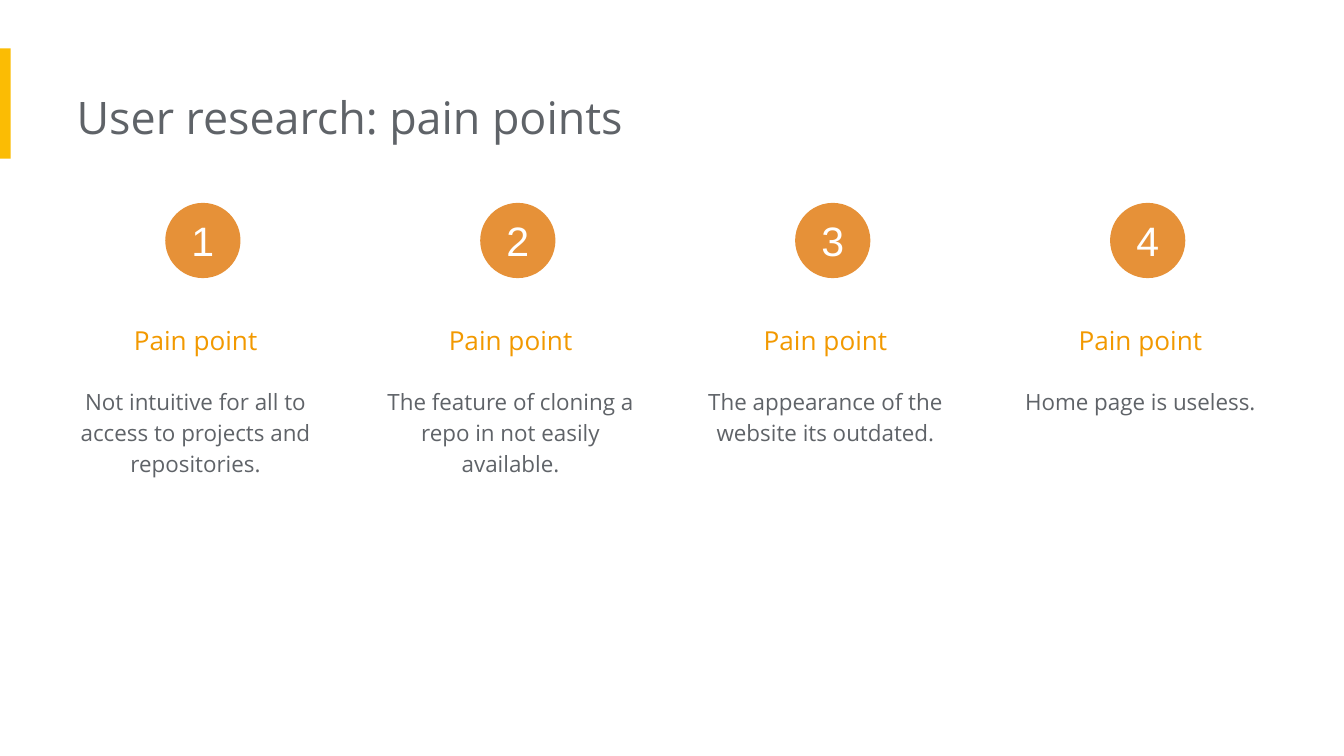
from pptx import Presentation
from pptx.dml.color import RGBColor
from pptx.enum.shapes import MSO_SHAPE
from pptx.enum.text import MSO_ANCHOR, MSO_AUTO_SIZE, PP_ALIGN
from pptx.util import Inches, Pt

COLORS = {"accent": "FBBC04", "circle": "E69138", "heading": "F29900",
          "text": "5F6368", "number": "FFFFFF"}
FONT = "Open Sans"

# 16:9 slide and column grid, in inches
SLIDE_W = 10
SLIDE_H = SLIDE_W * 9 / 16
LEFT, LAST_LEFT, COL_W = 0.48, 7.51, 2.05
CIRCLE_INSET, CIRCLE_D = 0.75, 0.56

# Description and height of its box
pain_points = [
    ("Not intuitive for all to access to projects and repositories.", 0.9),
    ("The feature of cloning a repo in not easily available.", 0.9),
    ("The appearance of the website its outdated.", 0.67),
    ("Home page is useless.", 0.43),
]
PITCH = (LAST_LEFT - LEFT) / (len(pain_points) - 1)


def write(sp, text, size, color, font=FONT, align=PP_ALIGN.CENTER,
          spacing=1.0, anchor=MSO_ANCHOR.TOP, insets=(0, 0.1, 0.1, 0.1),
          fit=MSO_AUTO_SIZE.SHAPE_TO_FIT_TEXT):
    tf = sp.text_frame
    tf.word_wrap = True
    tf.auto_size = fit
    tf.vertical_anchor = anchor
    (tf.margin_left, tf.margin_top,
     tf.margin_right, tf.margin_bottom) = map(Inches, insets)
    p = tf.paragraphs[0]
    p.alignment = align
    p.line_spacing = spacing
    r = p.add_run()
    r.text = text
    r.font.size = Pt(size)
    r.font.name = font
    r.font.color.rgb = RGBColor.from_string(COLORS[color])


def add_filled(shapes, kind, box, color):
    sp = shapes.add_shape(kind, *map(Inches, box))
    sp.shadow.inherit = False
    sp.fill.solid()
    sp.fill.fore_color.rgb = RGBColor.from_string(COLORS[color])
    sp.line.fill.background()
    return sp


prs = Presentation()
prs.slide_width, prs.slide_height = Inches(SLIDE_W), Inches(SLIDE_H)
s = prs.slides.add_slide(prs.slide_layouts[5])

# Accent bar at the left edge
add_filled(s.shapes, MSO_SHAPE.RECTANGLE, (0, 0.36, 0.08, 0.82), "accent")

# Title
title = s.shapes.title
title.left, title.top, title.width, title.height = map(
    Inches, (0.57, 0.57, 6.73, 0.61))
write(title, "User research: pain points", 24, "text", align=PP_ALIGN.LEFT)

# One column per pain point: numbered circle, heading, description
for i, (description, desc_h) in enumerate(pain_points):
    x = LEFT + i * PITCH

    circle = add_filled(s.shapes, MSO_SHAPE.OVAL,
                        (x + CIRCLE_INSET, 1.51, CIRCLE_D, CIRCLE_D), "circle")
    write(circle, str(i + 1), 22, "number", font="Arial",
          anchor=MSO_ANCHOR.MIDDLE, insets=(0, 0, 0, 0),
          fit=MSO_AUTO_SIZE.NONE)

    for text, y, h, size, color, spacing in (
            ("Pain point", 2.2, 0.44, 14, "heading", 1.5),
            (description, 2.76, desc_h, 12, "text", 1.15)):
        sp = s.shapes.add_textbox(*map(Inches, (x, y, COL_W, h)))
        write(sp, text, size, color, spacing=spacing)

prs.save("out.pptx")
